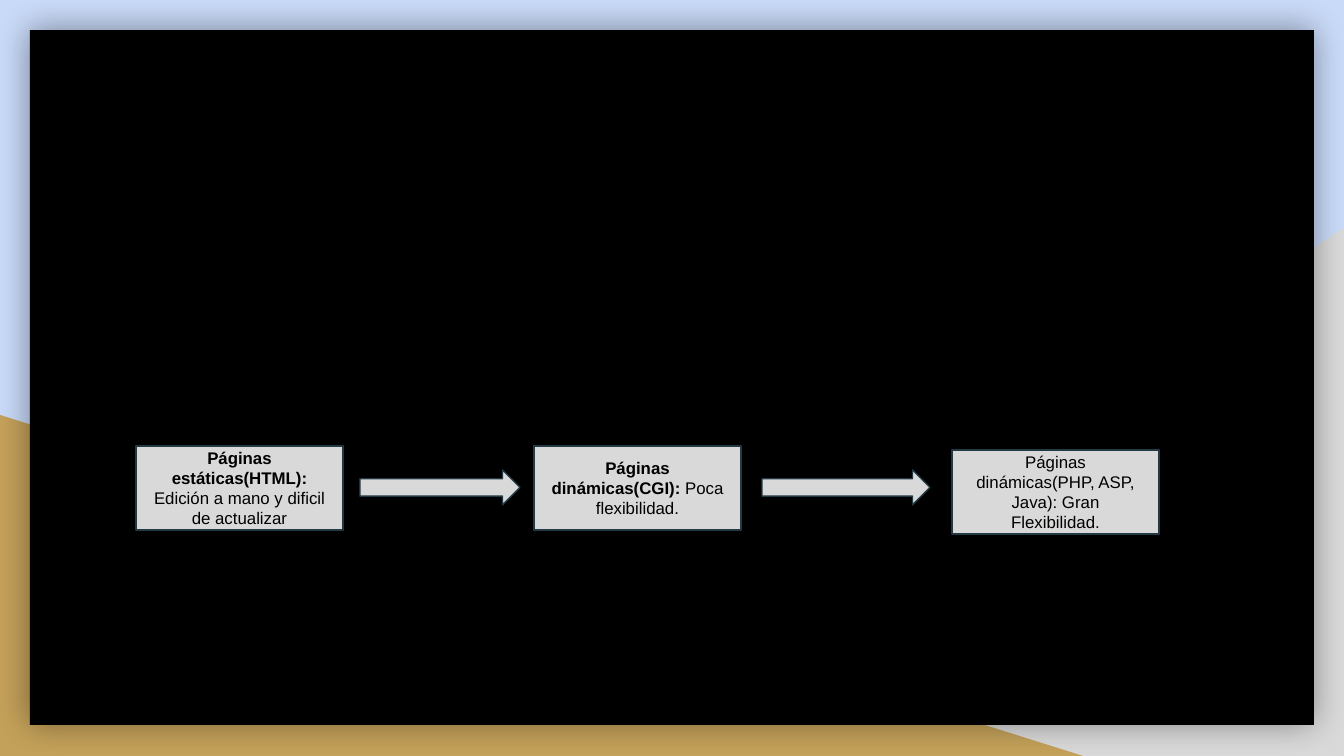
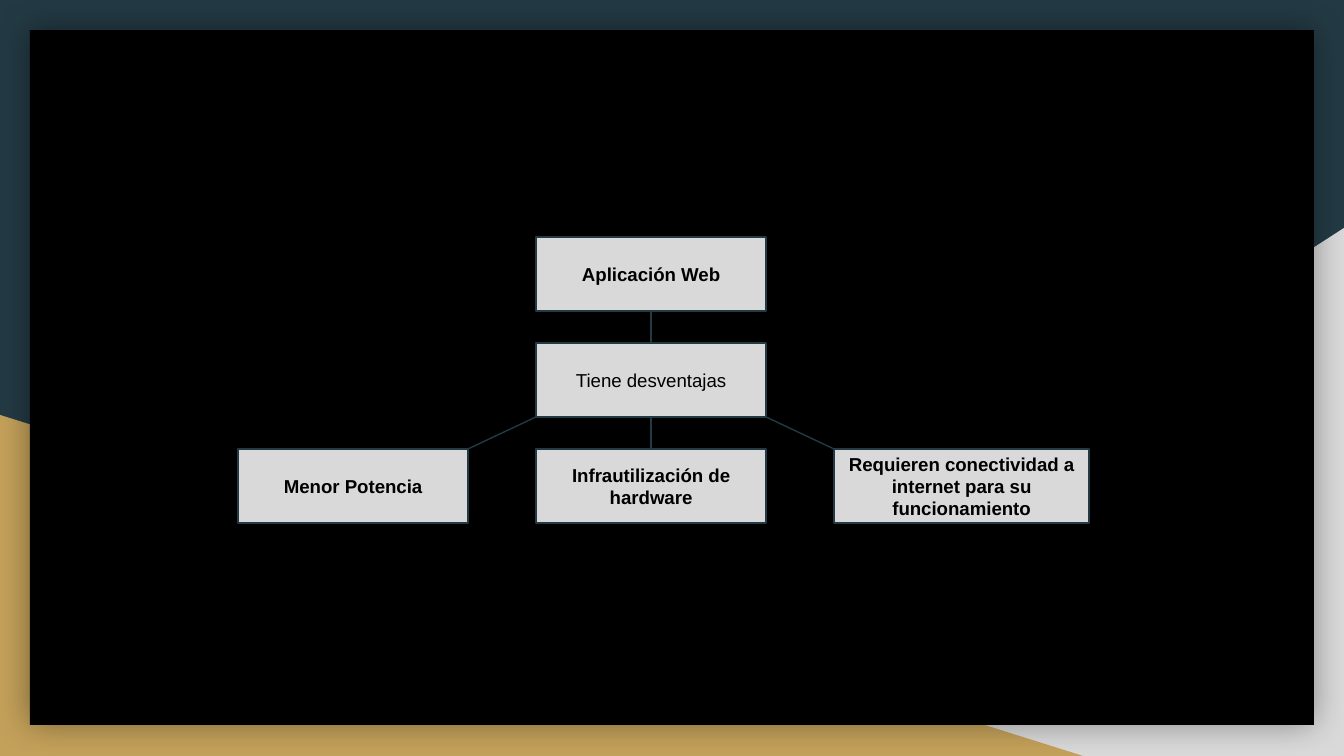
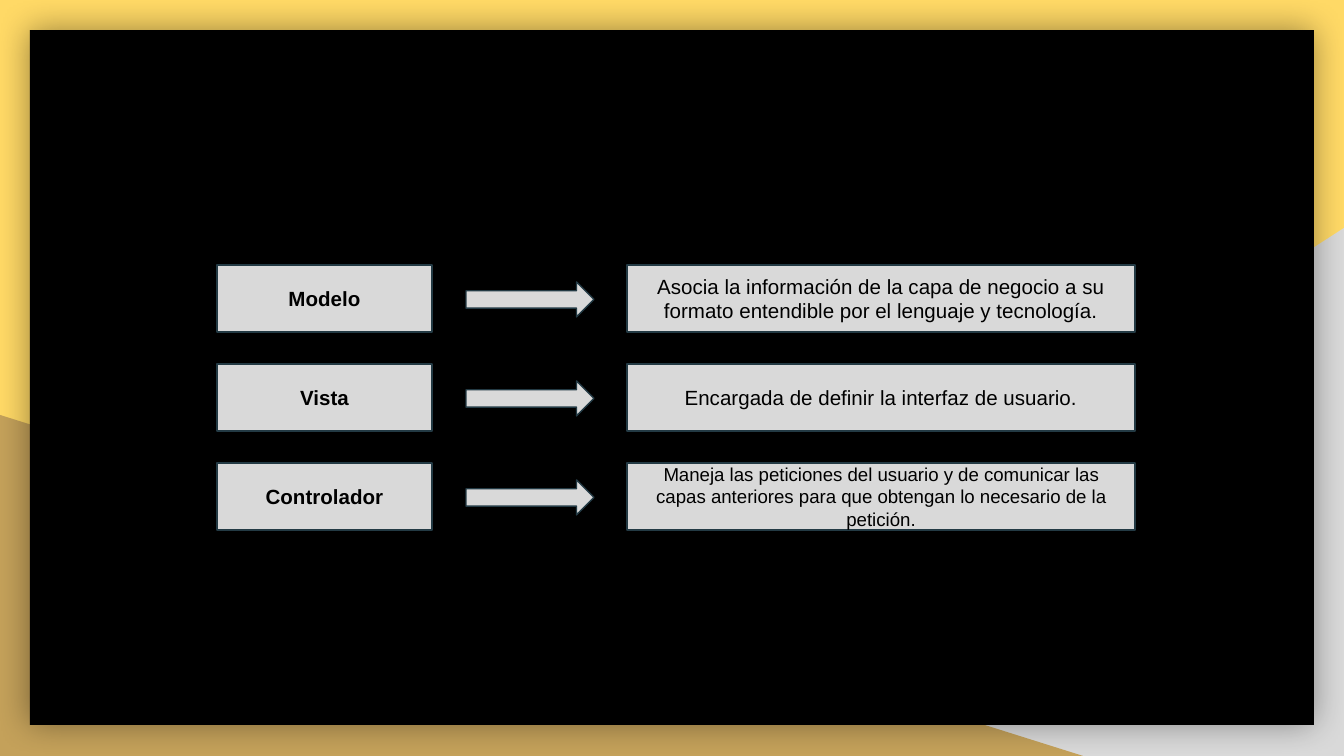
from dataclasses import dataclass

from lxml.etree import SubElement
from pptx import Presentation
from pptx.dml.color import RGBColor
from pptx.enum.shapes import MSO_CONNECTOR, MSO_SHAPE
from pptx.enum.text import MSO_ANCHOR, PP_ALIGN
from pptx.oxml.ns import qn
from pptx.util import Emu, Pt

EMU_PER_PX = 914400 / 134.4
BOTTOM, TOP = 2, 0


@dataclass(frozen=True)
class Theme:
    font: str = "Arial"
    panel: str = "000000"
    text: str = "000000"
    box: str = "D9D9D9"
    outline: str = "233A44"
    ochre: str = "C4A15A"
    pale_blue: str = "C9DAF8"
    dark_teal: str = "233A44"
    yellow: str = "FFD966"
    small: int = 9
    medium: int = 10
    large: int = 11
    line_width: float = 0.75


THEME = Theme()


def px(length):
    return Emu(round(length * EMU_PER_PX))


def rgb(code):
    return RGBColor.from_string(code)


def add_filled(slide, preset, bounds, fill, outline=None):
    shape = slide.shapes.add_shape(preset, *map(px, bounds))
    shape.shadow.inherit = False
    shape.fill.solid()
    shape.fill.fore_color.rgb = rgb(fill)
    if outline:
        shape.line.color.rgb = rgb(outline)
        shape.line.width = Pt(THEME.line_width)
    else:
        shape.line.fill.background()
    return shape


def add_glow(shape):
    """Give the shape a soft dark shadow on all sides."""
    effects = shape.element.spPr.find(qn("a:effectLst"))
    shadow = SubElement(effects, qn("a:outerShdw"), blurRad=str(Pt(18)),
                        dist="0", dir="0", algn="ctr", rotWithShape="0")
    color = SubElement(shadow, qn("a:srgbClr"), val=THEME.panel)
    SubElement(color, qn("a:alpha"), val="40000")


def add_framed_slide(deck, background):
    """Add a slide with the corner triangles and the dark panel."""
    slide = deck.slides.add_slide(deck.slide_layouts[6])
    slide.background.fill.solid()
    slide.background.fill.fore_color.rgb = rgb(background)
    right_corner = add_filled(slide, MSO_SHAPE.RIGHT_TRIANGLE,
                              (527, 228, 817, 528), THEME.box)
    right_corner.element.spPr.get_or_add_xfrm().set("flipH", "1")
    add_filled(slide, MSO_SHAPE.RIGHT_TRIANGLE, (0, 415, 1083, 341), THEME.ochre)
    add_glow(add_filled(slide, MSO_SHAPE.RECTANGLE, (30, 30, 1284, 695), THEME.panel))
    return slide


def add_box(slide, bounds, size, *runs):
    """Add a box holding one centred paragraph; runs are (text, bold) pairs."""
    box = add_filled(slide, MSO_SHAPE.RECTANGLE, bounds, THEME.box, THEME.outline)
    frame = box.text_frame
    frame.word_wrap = True
    frame.vertical_anchor = MSO_ANCHOR.MIDDLE
    frame.margin_left = frame.margin_right = Pt(7.2)
    frame.margin_top = frame.margin_bottom = Pt(7.2)
    paragraph = frame.paragraphs[0]
    paragraph.alignment = PP_ALIGN.CENTER
    for text, bold in runs:
        run = paragraph.add_run()
        run.text = text
        run.font.name = THEME.font
        run.font.size = Pt(size)
        run.font.bold = bold
        run.font.color.rgb = rgb(THEME.text)
    return box


def add_arrow(slide, left, top, width):
    add_filled(slide, MSO_SHAPE.RIGHT_ARROW, (left, top, width, 35),
               THEME.box, THEME.outline)


def add_line(slide, start, end):
    line = slide.shapes.add_connector(MSO_CONNECTOR.STRAIGHT, *start, *end)
    line.line.color.rgb = rgb(THEME.outline)
    line.line.width = Pt(THEME.line_width)
    SubElement(line.element.spPr, qn("a:effectLst"))
    return line


def join_vertically(slide, upper, lower):
    center = upper.left + upper.width // 2
    line = add_line(slide, (center, upper.top + upper.height), (center, lower.top))
    line.begin_connect(upper, BOTTOM)
    line.end_connect(lower, TOP)


def build_page_evolution(deck):
    slide = add_framed_slide(deck, THEME.pale_blue)
    stages = (
        (136, 446, ("Páginas estáticas(HTML):", True),
         (" Edición a mano y dificil de actualizar", False)),
        (534, 446, ("Páginas dinámicas(CGI):", True), (" Poca flexibilidad.", False)),
        (952, 450, ("Páginas dinámicas(PHP, ASP, Java): Gran Flexibilidad.", False)),
    )
    for left, top, *runs in stages:
        add_box(slide, (left, top, 207, 84), THEME.small, *runs)
    for left, width in ((360, 160), (762, 168)):
        add_arrow(slide, left, 470, width)


def build_disadvantages(deck):
    slide = add_framed_slide(deck, THEME.dark_teal)
    first_column, column_step = 238, 298
    first_row, row_step = 237, 106

    def add_node(column, row, text, bold=True, width=230):
        bounds = (first_column + column * column_step,
                  first_row + row * row_step, width, 74)
        return add_box(slide, bounds, THEME.medium, (text, bold))

    application = add_node(1, 0, "Aplicación Web")
    disadvantages = add_node(1, 1, "Tiene desventajas", bold=False)
    hardware = add_node(1, 2, "Infrautilización de hardware")
    connectivity = add_node(
        2, 2, "Requieren conectividad a internet para su funcionamiento", width=255)
    power = add_node(0, 2, "Menor Potencia")

    join_vertically(slide, application, disadvantages)
    join_vertically(slide, disadvantages, hardware)
    base = disadvantages.top + disadvantages.height
    add_line(slide, (disadvantages.left, base), (power.left + power.width, power.top))
    add_line(slide, (disadvantages.left + disadvantages.width, base),
             (connectivity.left, connectivity.top))


def build_mvc_layers(deck):
    slide = add_framed_slide(deck, THEME.yellow)
    layers = (
        ("Modelo", THEME.large,
         "Asocia la información de la capa de negocio a su formato entendible "
         "por el lenguaje y tecnología."),
        ("Vista", THEME.large, "Encargada de definir la interfaz de usuario."),
        ("Controlador", THEME.medium,
         "Maneja las peticiones del usuario y de comunicar las capas anteriores "
         "para que obtengan lo necesario de la petición."),
    )
    for row, (layer, role_size, role) in enumerate(layers):
        top = 265 + row * 99
        add_box(slide, (217, top, 215, 67), THEME.large, (layer, True))
        add_box(slide, (627, top, 508, 67), role_size, (role, False))
        add_arrow(slide, 466, top + 17, 128)


def main():
    deck = Presentation()
    deck.slide_width, deck.slide_height = px(1344), px(756)
    build_page_evolution(deck)
    build_disadvantages(deck)
    build_mvc_layers(deck)
    deck.save("out.pptx")


if __name__ == "__main__":
    main()
